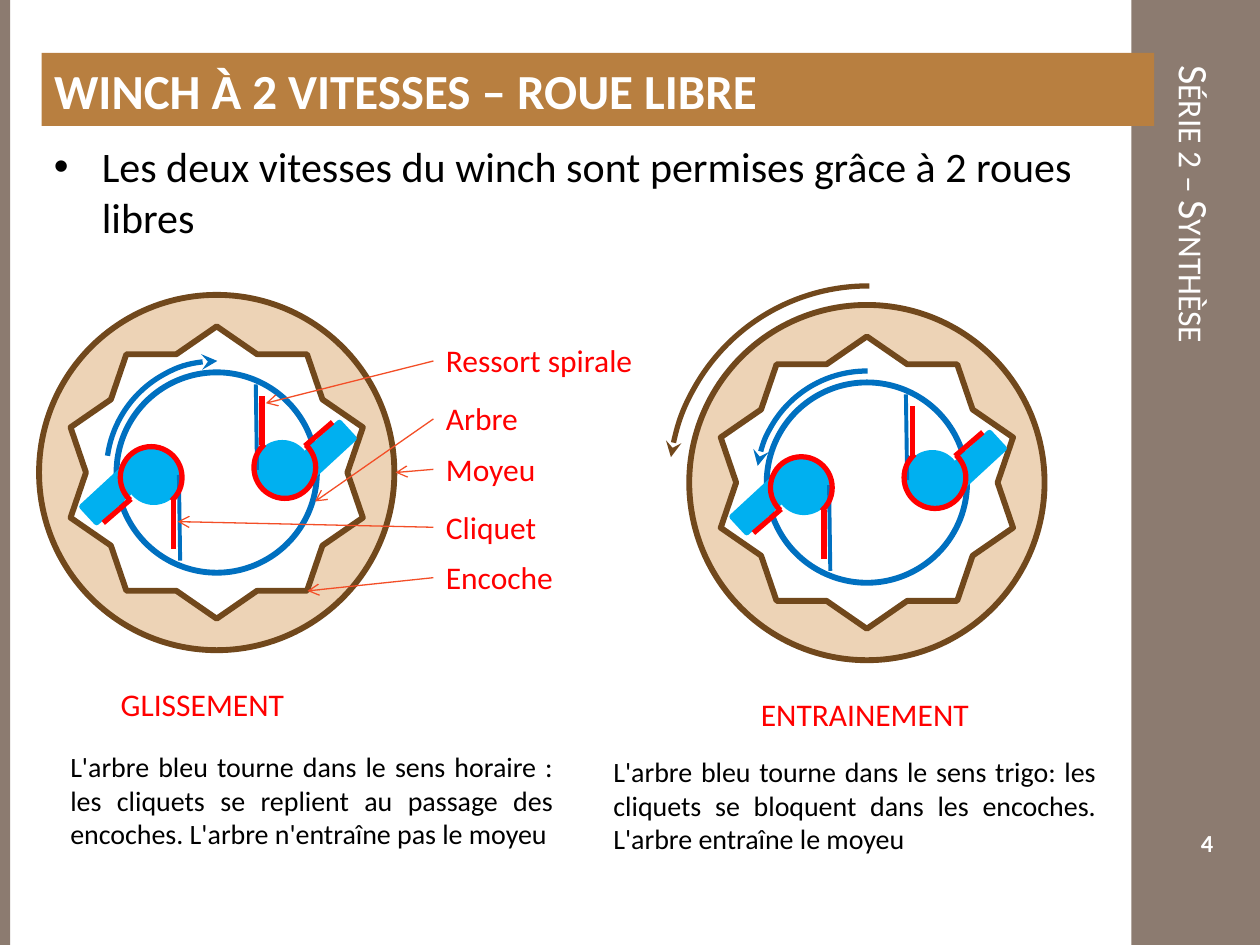
from lxml import etree
from pptx import Presentation
from pptx.dml.color import RGBColor
from pptx.enum.shapes import MSO_CONNECTOR, MSO_SHAPE
from pptx.enum.text import MSO_ANCHOR, PP_ALIGN
from pptx.oxml.ns import qn
from pptx.util import Inches, Pt

STRAIGHT = MSO_CONNECTOR.STRAIGHT
RECTANGLE, OVAL = MSO_SHAPE.RECTANGLE, MSO_SHAPE.OVAL
STAR, ARC = MSO_SHAPE.STAR_10_POINT, MSO_SHAPE.ARC
TOP, MIDDLE = MSO_ANCHOR.TOP, MSO_ANCHOR.MIDDLE
LEFT, CENTER, JUSTIFY = PP_ALIGN.LEFT, PP_ALIGN.CENTER, PP_ALIGN.JUSTIFY

FONT = "Calibri"
COLORS = {
    "band": "8C7B70", "title": "B87F40", "white": "FFFFFF", "black": "000000",
    "red": "FF0000", "hub": "EDD3B6", "brown": "71481C", "shaft": "0070C0",
    "pawl": "00B0F0", "callout": "F34E27",
}
WHEEL_SIZE = 2.82
QUARTER_TURN = (188.04, 270.35)
PAWL_TURN = (133.43, 48.81)


def color(name):
    return RGBColor.from_string(COLORS[name])


def write_text(shape, text, size=18, fill="red", bold=False, align=LEFT,
               anchor=TOP, bullet_indent=None, vertical=False, small_caps=False):
    frame = shape.text_frame
    frame.word_wrap = True
    frame.vertical_anchor = anchor
    if vertical:
        frame._txBody.bodyPr.set("vert", "vert")
    paragraph = frame.paragraphs[0]
    paragraph.alignment = align
    if bullet_indent:
        properties = paragraph._p.get_or_add_pPr()
        properties.set("marL", str(Inches(bullet_indent)))
        properties.set("indent", str(-Inches(bullet_indent)))
        etree.SubElement(properties, qn("a:buFont")).set("typeface", "Arial")
        etree.SubElement(properties, qn("a:buChar")).set("char", "•")
    run = paragraph.add_run()
    run.text = text
    run.font.name = FONT
    run.font.size = Pt(size)
    run.font.bold = bold
    run.font.color.rgb = color(fill)
    if small_caps:
        run._r.get_or_add_rPr().set("cap", "small")


def add_text(slide, box, text, **text_format):
    shape = slide.shapes.add_textbox(*map(Inches, box))
    write_text(shape, text, **text_format)
    return shape


def add_shape(slide, kind, box, fill=None, line=None, width=3.35, rotation=0):
    shape = slide.shapes.add_shape(kind, *map(Inches, box))
    shape.shadow.inherit = False
    shape.rotation = rotation
    if fill:
        shape.fill.solid()
        shape.fill.fore_color.rgb = color(fill)
    else:
        shape.fill.background()
    if line:
        shape.line.color.rgb = color(line)
        shape.line.width = Pt(width)
    else:
        shape.line.fill.background()
    return shape


def add_centered(slide, kind, center, size, **shape_format):
    width, height = size
    box = (center[0] - width / 2, center[1] - height / 2, width, height)
    return add_shape(slide, kind, box, **shape_format)


def add_arrowhead(shape, end, kind):
    etree.SubElement(shape.line._get_or_add_ln(), qn(f"a:{end}")).set("type", kind)


def add_arc(slide, center, size, angles, line, rotation=0, arrow_end=None):
    arc = add_centered(slide, ARC, center, (size, size), line=line, width=3,
                       rotation=rotation)
    for index, angle in enumerate(angles):
        arc.adjustments[index] = angle * 0.6  # degrees to adjustment units
    if arrow_end:
        add_arrowhead(arc, arrow_end, "stealth")


def add_line(slide, start, end, line, width):
    connector = slide.shapes.add_connector(STRAIGHT, *map(Inches, (*start, *end)))
    connector.line.color.rgb = color(line)
    connector.line.width = Pt(width)
    etree.SubElement(connector._element.spPr, qn("a:effectLst"))
    return connector


def add_side_bands(slide, width, height):
    add_shape(slide, RECTANGLE, (8.98, 0, width - 8.98, height), fill="band")
    add_shape(slide, RECTANGLE, (0, 0, 0.08, height), fill="band")
    add_text(slide, (8.98, 0.42, 1.02, 6.42), "Série 2 – Synthèse", size=24,
             fill="white", anchor=MIDDLE, vertical=True, small_caps=True)
    add_text(slide, (9.05, 6.53, 1.06, 0.31), "4", size=14, fill="white",
             bold=True, align=CENTER, anchor=MIDDLE)


def add_title(slide, box):
    title = slide.shapes.title
    title.left, title.top, title.width, title.height = map(Inches, box)
    title.fill.solid()
    title.fill.fore_color.rgb = color("title")
    write_text(title, "WINCH À 2 VITESSES – ROUE LIBRE", size=28, fill="white",
               bold=True, anchor=MIDDLE)


def add_pawl(slide, center, side):
    """Pawl, catch and spring; side -1 is the same part turned by 180°."""
    def at(x, y):
        return center[0] + side * x, center[1] + side * y

    turn = 0 if side == 1 else 180
    add_centered(slide, OVAL, at(-0.51, 0.03), (0.41, 0.41), fill="pawl", line="pawl")
    add_centered(slide, RECTANGLE, at(-0.8, 0.13), (0.6, 0.17), fill="pawl",
                 line="pawl", rotation=(317.3 + turn) % 360)
    add_line(slide, at(-0.31, 0.02), at(-0.3, 0.7), "shaft", 2.25)
    add_line(slide, at(-0.69, 0.21), at(-0.91, 0.4), "red", 3)
    add_line(slide, at(-0.35, 0.22), at(-0.35, 0.61), "red", 3)
    add_arc(slide, at(-0.53, 0.04), 0.49, PAWL_TURN, "red", rotation=turn)


def add_wheel(slide, left, top, arrow_end):
    center = (left + WHEEL_SIZE / 2, top + WHEEL_SIZE / 2)
    add_centered(slide, OVAL, center, (WHEEL_SIZE, WHEEL_SIZE), fill="hub", line="brown")
    add_centered(slide, STAR, center, (2.32, 2.32), fill="white", line="brown")
    add_centered(slide, OVAL, center, (1.59, 1.59), line="shaft")
    for side in (1, -1):
        add_pawl(slide, (center[0] + 0.01, center[1]), side)
    add_arc(slide, (center[0], center[1] - 0.01), 1.75, QUARTER_TURN, "shaft",
            arrow_end=arrow_end)


def add_callouts(slide, left):
    callouts = [
        ("Ressort spirale", 2.66, (2.11, 3.2)),
        ("Arbre", 3.12, (2.5, 3.98)),
        ("Moyeu", 3.52, (3.14, 3.75)),
        ("Cliquet", 3.98, (1.41, 4.14)),
        ("Encoche", 4.38, (2.44, 4.69)),
    ]
    for text, top, target in callouts:
        label = add_text(slide, (left, top, 1.72, 0.41), text)
        pointer = add_line(slide, (left, top + 0.2), target, "callout", 0.75)
        pointer.begin_connect(label, 1)
        add_arrowhead(pointer, "tailEnd", "arrow")


def add_caption(slide, heading_box, heading, text_box, text):
    add_text(slide, heading_box, heading)
    add_text(slide, text_box, text, size=16, fill="black", align=JUSTIFY)


def main():
    presentation = Presentation()
    presentation.slide_width, presentation.slide_height = Inches(10), Inches(7.5)
    slide = presentation.slides.add_slide(presentation.slide_layouts[5])

    # Frame, title and introduction
    add_side_bands(slide, 10, 7.5)
    add_title(slide, (0.33, 0.42, 8.83, 0.58))
    # The title overlaps the side band
    slide.shapes._spTree.append(slide.shapes.title._element)
    add_text(slide, (0.33, 1.07, 8.57, 1), size=24, fill="black", bullet_indent=0.38,
             text="Les deux vitesses du winch sont permises grâce à 2 roues libres")

    # Slipping wheel with its callouts
    add_wheel(slide, 0.31, 2.34, "tailEnd")
    add_callouts(slide, 3.44)
    add_caption(slide, (0.86, 5.39, 1.72, 0.41), "GLISSEMENT", (0.46, 5.9, 4.03, 0.91),
                "L'arbre bleu tourne dans le sens horaire : les cliquets se replient "
                "au passage des encoches. L'arbre n'entraîne pas le moyeu")

    # Driving wheel with the hub's turn
    add_wheel(slide, 5.47, 2.42, "headEnd")
    add_arc(slide, (6.89, 3.85), 3.16, QUARTER_TURN, "brown", arrow_end="headEnd")
    add_caption(slide, (5.94, 5.47, 1.88, 0.4), "ENTRAINEMENT", (4.77, 5.94, 4.03, 0.91),
                "L'arbre bleu tourne dans le sens trigo: les cliquets se bloquent "
                "dans les encoches. L'arbre entraîne le moyeu")

    presentation.save("out.pptx")


if __name__ == "__main__":
    main()
